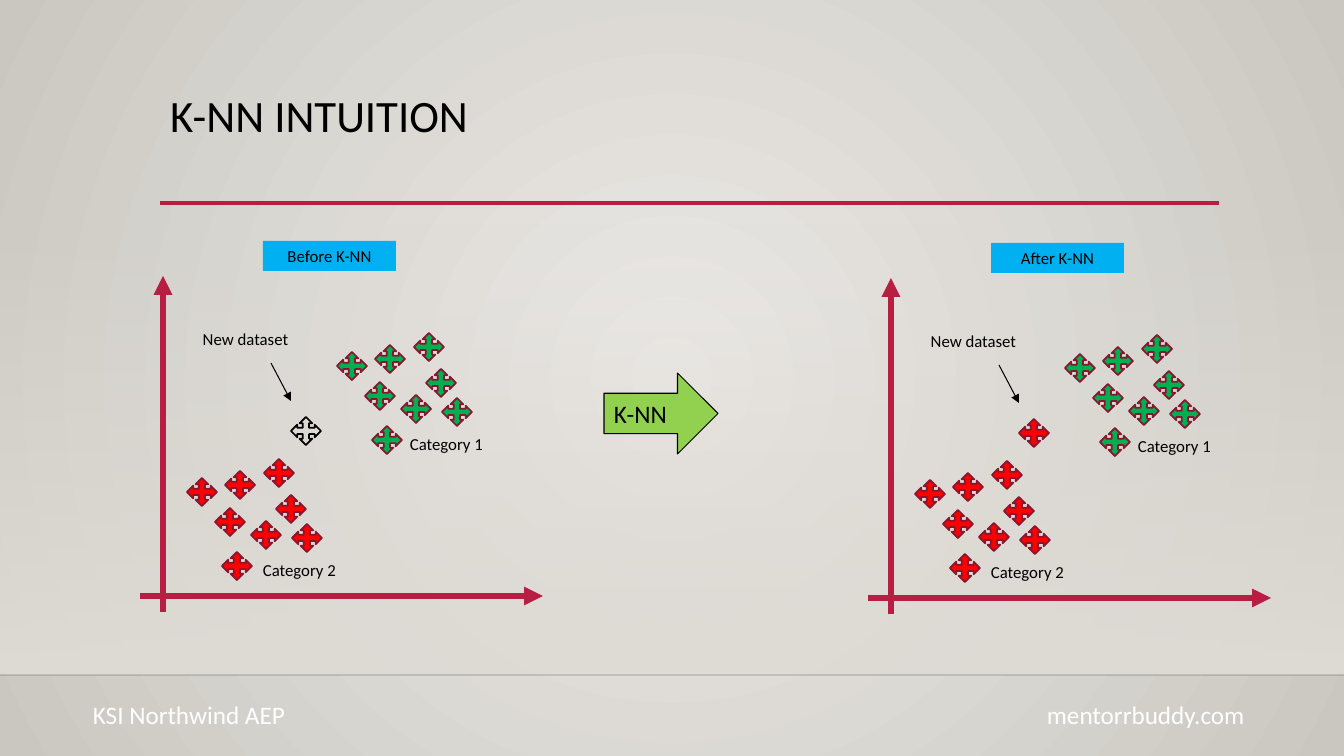
import pptx
import pptx.util
import pptx.oxml
import pptx.oxml.ns
import pptx.dml.color
import pptx.enum.shapes
import pptx.enum.text
from lxml import etree

RGB = pptx.dml.color.RGBColor
BLACK = RGB(0x00, 0x00, 0x00)
WHITE = RGB(0xFF, 0xFF, 0xFF)
CRIMSON = RGB(0xB7, 0x1E, 0x42)
MAROON = RGB(0x87, 0x16, 0x31)
RED = RGB(0xFF, 0x00, 0x00)
GREEN = RGB(0x00, 0xB0, 0x50)
LIME = RGB(0x92, 0xD0, 0x50)
SKY = RGB(0x00, 0xB0, 0xF0)
SAND = RGB(0xDF, 0xDB, 0xD5)
PALE = RGB(0xEC, 0xEA, 0xE7)
STONE = RGB(0xCA, 0xC7, 0xC1)

KIND = pptx.enum.shapes.MSO_SHAPE
ALIGN = pptx.enum.text.PP_ALIGN
ANCHOR = pptx.enum.text.MSO_ANCHOR
SCALE = 9071.43  # EMU in one px

# Marks of one category, measured from its first mark
CLUSTER = [(0, 0), (64, 43), (28, 30), (38, -7),
           (77, -19), (35, 74), (89, 17), (105, 46)]


def emu(*lengths):
    return [pptx.util.Emu(round(n * SCALE)) for n in lengths]


def child(node, tag, **attrs):
    return etree.SubElement(node, pptx.oxml.ns.qn(tag), attrs)


def find(node, tag):
    return next(node.iter(pptx.oxml.ns.qn(tag)))


class Canvas:
    font = "Calibri"

    def __init__(self, slide):
        self.slide = slide
        self.shapes = slide.shapes

    def text(self, frame, words, size, color=BLACK, align=ALIGN.LEFT):
        frame.word_wrap = True
        para = frame.paragraphs[0]
        para.alignment = align
        run = para.add_run()
        run.text = words
        run.font.name = self.font
        run.font.size = pptx.util.Pt(size)
        run.font.color.rgb = color
        return para

    def blend(self, fill, *colors):
        fill.gradient()
        for stop, color in zip(fill.gradient_stops, colors):
            stop.color.rgb = color

    def backdrop(self, inner, outer):
        self.blend(self.slide.background.fill, inner, outer)
        grad = find(self.slide.element, "a:gradFill")
        grad.remove(find(grad, "a:lin"))
        radial = child(grad, "a:path", path="circle")
        child(radial, "a:fillToRect", l="50000", t="50000", r="50000", b="50000")

    def title(self, words, box):
        title = self.shapes.title
        title.left, title.top, title.width, title.height = emu(*box)
        title.text_frame.vertical_anchor = ANCHOR.TOP
        para = self.text(title.text_frame, words, 32)
        para.line_spacing = 0.9

    def label(self, words, box, size=12, color=BLACK, align=ALIGN.LEFT):
        frame = self.shapes.add_textbox(*emu(*box)).text_frame
        self.text(frame, words, size, color, align)

    def shape(self, kind, box, fill=None, line=None, width=1.25):
        shape = self.shapes.add_shape(kind, *emu(*box))
        shape.shadow.inherit = False
        if fill is None:
            shape.fill.background()
        else:
            shape.fill.solid()
            shape.fill.fore_color.rgb = fill
        if line is None:
            shape.line.fill.background()
        else:
            shape.line.color.rgb = line
            shape.line.width = pptx.util.Pt(width)
        return shape

    def veil(self, box, color):
        shape = self.shape(KIND.RECTANGLE, box)
        self.blend(shape.fill, color, color)
        shape.fill.gradient_angle = 270
        child(find(shape.element, "a:srgbClr"), "a:alpha", val="0")

    def mark(self, x, y, fill=None, line=MAROON):
        self.shape(KIND.QUAD_ARROW, (x, y, 30, 28), fill, line)

    def line(self, start, end, color, width, head=False, alpha=None):
        line = self.shapes.add_connector(
            pptx.enum.shapes.MSO_CONNECTOR.STRAIGHT, *emu(*start, *end))
        line.line.color.rgb = color
        line.line.width = pptx.util.Pt(width)
        if alpha:
            child(find(line.element, "a:srgbClr"), "a:alpha", val=str(alpha * 1000))
        if head:
            child(find(line.element, "a:ln"), "a:tailEnd", type="triangle")
        child(line.element.spPr, "a:effectLst")

    def panel(self, x, y, name, fill, edge):
        # Axes
        self.line((x + 163, y + 612), (x + 163, y + 276), CRIMSON, 4.5, True)
        self.line((x + 140, y + 596), (x + 543, y + 596), CRIMSON, 4.5, True)
        # Categories
        for left, top, color in ((187, 478, RED), (337, 352, GREEN)):
            for dx, dy in CLUSTER:
                self.mark(x + left + dx, y + top + dy, color)
        self.label("Category 1", (x + 400, y + 429, 102, 30))
        self.label("Category 2", (x + 253, y + 555, 102, 30))
        # Heading
        tag = self.shape(KIND.RECTANGLE, (x + 263, y + 241, 133, 30), SKY)
        self.text(tag.text_frame, name, 12, align=ALIGN.CENTER)
        # New point
        self.mark(x + 291, y + 417, fill, edge)
        self.label("New dataset", (x + 185, y + 324, 121, 30), align=ALIGN.CENTER)
        self.line((x + 271, y + 363), (x + 291, y + 401), BLACK, 0.75, True)


def main():
    deck = pptx.Presentation()
    deck.slide_width, deck.slide_height = emu(1344, 756)
    page = Canvas(deck.slides.add_slide(deck.slide_layouts[5]))

    # Background and footer
    page.backdrop(PALE, STONE)
    page.veil((0, 223, 1344, 452), SAND)
    page.line((0, 675), (1344, 675), BLACK, 1, alpha=20)
    page.label("KSI Northwind AEP", (83, 694, 224, 40), 18, WHITE)
    page.label("mentorrbuddy.com", (1037, 694, 224, 40), 18, WHITE)

    # Title
    page.line((160, 203), (1219, 203), CRIMSON, 2.5)
    page.title("K-NN INTUITION", (160, 89, 1058, 115))

    # Before, step, after
    page.panel(0, 0, "Before K-NN", None, BLACK)
    step = page.shape(KIND.RIGHT_ARROW, (604, 373, 114, 81), LIME, BLACK, 0.75)
    page.text(step.text_frame, "K-NN", 18)
    page.panel(728, 2, "After K-NN", RED, MAROON)

    deck.save("out.pptx")


if __name__ == "__main__":
    main()
